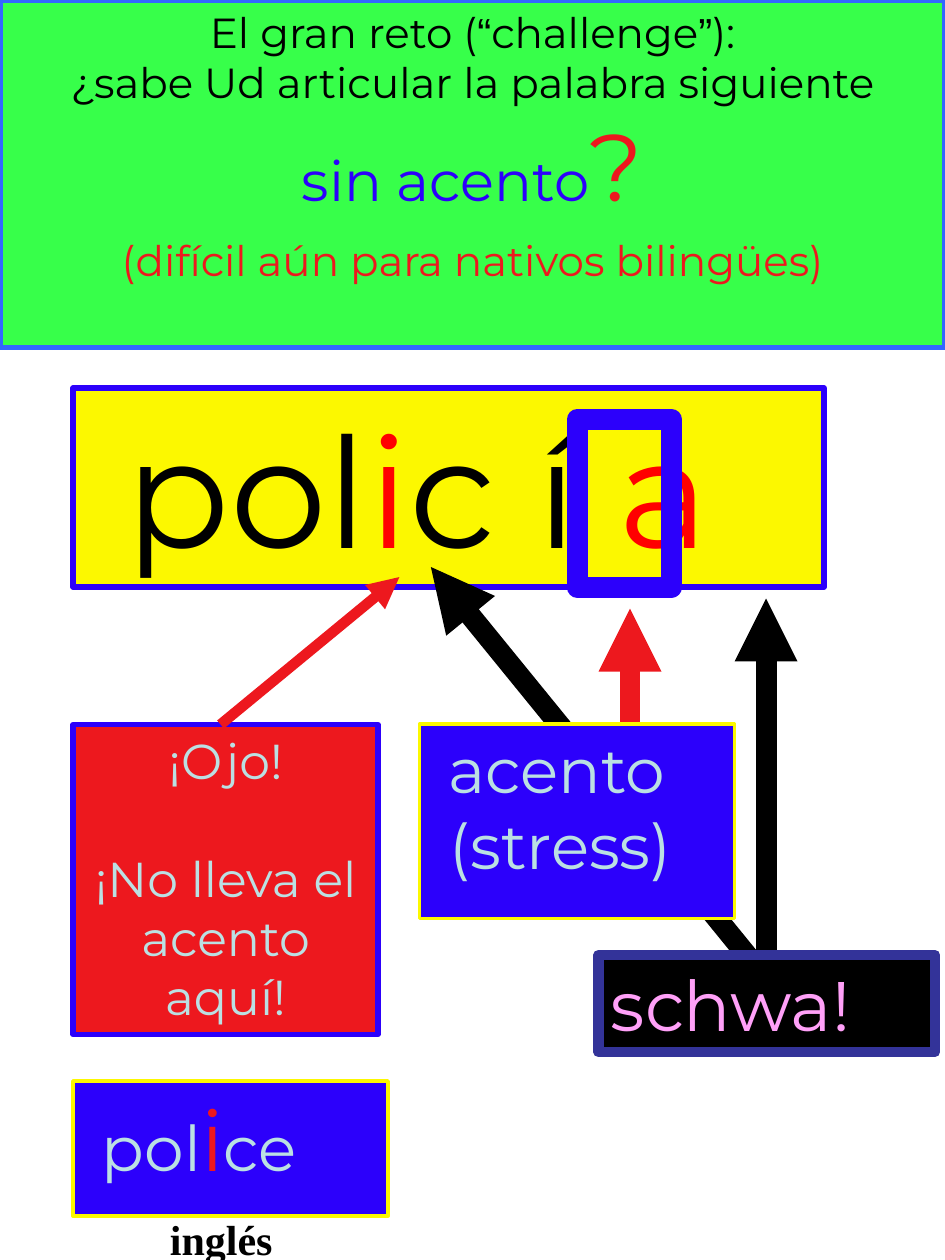
from lxml.etree import SubElement
from pptx import Presentation
from pptx.dml.color import RGBColor
from pptx.enum.shapes import MSO_CONNECTOR, MSO_SHAPE
from pptx.enum.text import MSO_ANCHOR, PP_ALIGN
from pptx.oxml.ns import qn
from pptx.util import Inches, Pt

GREEN = RGBColor(0x37, 0xFF, 0x4A)
SKY = RGBColor(0x33, 0x66, 0xFF)
YELLOW = RGBColor(0xFC, 0xF8, 0x00)
BLUE = RGBColor(0x2C, 0x00, 0xFB)
NAVY = RGBColor(0x33, 0x33, 0x99)
CRIMSON = RGBColor(0xED, 0x18, 0x1E)
RED = RGBColor(0xFF, 0x00, 0x00)
PALE = RGBColor(0xBB, 0xE0, 0xE3)
PINK = RGBColor(0xFF, 0xA0, 0xF8)
BLACK = RGBColor(0x00, 0x00, 0x00)


def add_box(slide, box, fill, line, width):
    """Add a rectangle; a fill of None leaves it hollow."""
    shape = slide.shapes.add_shape(MSO_SHAPE.RECTANGLE, *map(Inches, box))
    shape.shadow.inherit = False
    if fill is None:
        shape.fill.background()
    else:
        shape.fill.solid()
        shape.fill.fore_color.rgb = fill
    shape.line.color.rgb = line
    shape.line.width = Pt(width)
    return shape


def write(shape, paragraphs, font="Montserrat", bold=False):
    """Write paragraphs of (alignment, space before, runs of text, size, colour)."""
    frame = shape.text_frame
    frame.word_wrap = True
    frame.vertical_anchor = MSO_ANCHOR.TOP
    for index, (alignment, space, runs) in enumerate(paragraphs):
        paragraph = frame.add_paragraph() if index else frame.paragraphs[0]
        paragraph.alignment = alignment
        paragraph.space_before = Pt(space)
        for text, size, color in runs:
            run = paragraph.add_run()
            run.text = text
            run.font.name = "Arial" if text in "“”" else font
            run.font.size = Pt(size)
            run.font.bold = bold
            run.font.color.rgb = color


def add_arrow(slide, tip, tail, color, width):
    """Add an arrow whose head is at the tip."""
    arrow = slide.shapes.add_connector(
        MSO_CONNECTOR.STRAIGHT, *map(Inches, tip + tail))
    arrow.line.color.rgb = color
    arrow.line.width = Pt(width)
    SubElement(arrow.line._get_or_add_ln(), qn("a:headEnd"), type="triangle")
    SubElement(arrow._element.spPr, qn("a:effectLst"))


def add_challenge(slide, box):
    """Place the green heading with the challenge question."""
    heading = add_box(slide, box, GREEN, SKY, 3)
    opening = ["El gran reto (", "“", "challenge", "”", "):"]
    write(heading, [
        (PP_ALIGN.CENTER, 0, [(text, 24, BLACK) for text in opening]),
        (PP_ALIGN.CENTER, 0, [("¿sabe Ud articular la palabra siguiente", 24, BLACK)]),
        (PP_ALIGN.CENTER, 0, [("sin acento", 32, BLUE), ("?", 54, CRIMSON)]),
        (PP_ALIGN.CENTER, 8, [("(difícil aún para nativos bilingües)", 24, CRIMSON)]),
    ])


def add_word(slide, box):
    """Place the yellow panel with the Spanish word."""
    runs = [(" pol", 88, BLACK), ("i", 88, RED), ("c í ", 88, BLACK), ("a", 88, RED)]
    write(add_box(slide, box, YELLOW, BLUE, 3), [(PP_ALIGN.LEFT, 0, runs)])


def add_warning(slide, box):
    """Place the red warning."""
    write(add_box(slide, box, CRIMSON, BLUE, 3), [
        (PP_ALIGN.CENTER, 0, [("¡Ojo!", 28, PALE)]),
        (PP_ALIGN.CENTER, 34, [("¡No lleva el acento aquí!", 28, PALE)]),
    ])


def add_english(slide, box):
    """Place the English word with its language name below it."""
    left, top, width, height = box
    runs = [(" pol", 36, PALE), ("i", 48, CRIMSON), ("ce", 36, PALE)]
    write(add_box(slide, box, BLUE, YELLOW, 2.25), [(PP_ALIGN.LEFT, 0, runs)])
    caption = slide.shapes.add_textbox(
        Inches(left + 0.67), Inches(top + 1), Inches(1.02), Inches(0.5))
    write(caption, [(PP_ALIGN.LEFT, 0, [("inglés", 24, BLACK)])],
          "Times New Roman", True)
    caption.text_frame.word_wrap = False


def add_stress(slide, box):
    """Place the blue stress label."""
    label = add_box(slide, box, BLUE, YELLOW, 2.25)
    label.text_frame.margin_right = Inches(0.36)
    write(label, [
        (PP_ALIGN.LEFT, 0, [(" acento", 36, PALE)]),
        (PP_ALIGN.CENTER, 0, [("(stress)", 36, PALE)]),
    ])


def add_schwa(slide, box):
    """Place the black schwa label."""
    label = add_box(slide, box, BLACK, NAVY, 6)
    write(label, [(PP_ALIGN.LEFT, 0, [("schwa!", 40, PINK)])])


def main():
    """Build the slide and save it."""
    presentation = Presentation()
    presentation.slide_width = Inches(7.5)
    presentation.slide_height = Inches(10)
    slide = presentation.slides.add_slide(presentation.slide_layouts[6])
    add_challenge(slide, (0, 0, 7.5, 2.76))
    add_word(slide, (0.58, 3.08, 5.96, 1.58))
    add_warning(slide, (0.58, 5.75, 2.42, 2.46))
    add_arrow(slide, (3.17, 4.58), (1.75, 5.75), CRIMSON, 6)
    add_english(slide, (0.58, 8.58, 2.5, 1.07))
    add_arrow(slide, (5, 4.83), (5, 5.92), CRIMSON, 12)
    add_box(slide, (4.58, 3.33, 0.75, 1.33), None, BLUE, 12)
    add_arrow(slide, (6.08, 4.75), (6.08, 7.67), BLACK, 12)
    add_arrow(slide, (3.42, 4.5), (6, 7.67), BLACK, 12)
    add_stress(slide, (3.33, 5.75, 2.5, 1.54))
    add_schwa(slide, (4.75, 7.58, 2.67, 0.77))
    presentation.save("out.pptx")


if __name__ == "__main__":
    main()
